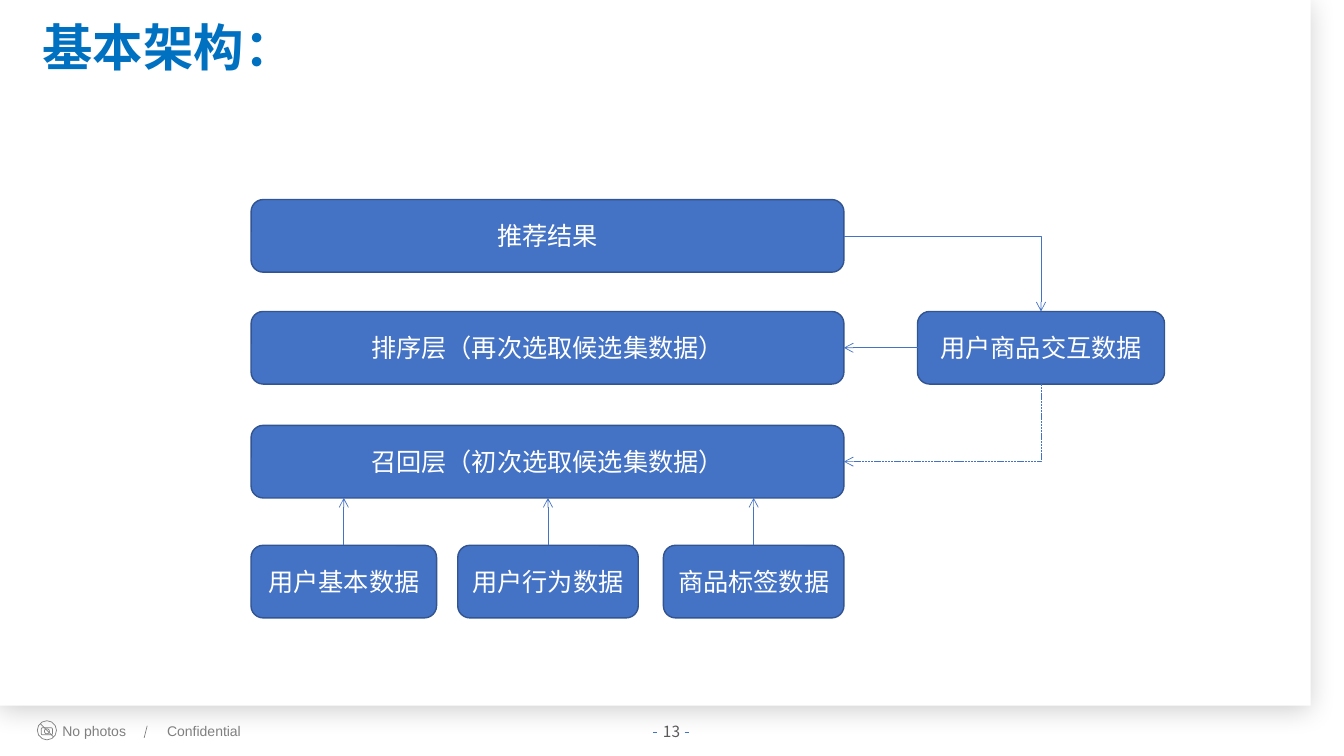
from lxml import etree
from pptx import Presentation
from pptx import util as u
from pptx.dml.color import RGBColor
from pptx.enum import dml, shapes, text
from pptx.oxml import ns, parse_xml

WHITE = RGBColor(0xFF, 0xFF, 0xFF)
BLUE = RGBColor(0x44, 0x72, 0xC4)
DARK_BLUE = RGBColor(0x32, 0x54, 0x91)
TITLE_BLUE = RGBColor(0x00, 0x70, 0xC0)
GRAY = RGBColor(0x7F, 0x7F, 0x7F)
PAGE_GRAY = RGBColor(0x5A, 0x5A, 0x5A)
CJK_FONT = "Noto Sans CJK SC"
TOP, LEFT, BOTTOM, RIGHT = range(4)
SHAPE = shapes.MSO_SHAPE
PANEL_SHADOW = (
    f'<a:effectLst {ns.nsdecls("a")}>'
    '<a:outerShdw blurRad="254000" dist="38100" dir="5400000" algn="t" rotWithShape="0">'
    '<a:srgbClr val="000000"><a:alpha val="20000"/></a:srgbClr>'
    '</a:outerShdw></a:effectLst>'
)


def format_text(text_frame, size, color, font=CJK_FONT, bold=False):
    for paragraph in text_frame.paragraphs:
        for run in paragraph.runs:
            run.font.size = u.Pt(size)
            run.font.name = font
            run.font.bold = bold
            run.font.color.rgb = color
            east_asian = etree.SubElement(run.font._element, ns.qn("a:ea"))
            east_asian.set("typeface", font)


def add_line(slide, start, end, color, kind=shapes.MSO_CONNECTOR.STRAIGHT):
    points = [u.Inches(value) for value in (*start, *end)]
    connector = slide.shapes.add_connector(kind, *points)
    connector.line.color.rgb = color
    connector.line.width = u.Pt(0.5)
    etree.SubElement(connector._element.spPr, ns.qn("a:effectLst"))
    return connector


def add_arrowhead(connector):
    line = connector.line._get_or_add_ln()
    etree.SubElement(line, ns.qn("a:tailEnd")).set("type", "arrow")


def add_label(slide, box, label, size, color, font, wrap=False):
    shape = slide.shapes.add_textbox(*map(u.Inches, box))
    shape.text_frame.text = label
    shape.text_frame.word_wrap = wrap
    format_text(shape.text_frame, size, color, font)
    return shape


def add_title(slide, box, label):
    title = slide.shapes.title
    title.left, title.top, title.width, title.height = map(u.Inches, box)
    frame = title.text_frame
    frame.text = label
    frame.vertical_anchor = text.MSO_ANCHOR.TOP
    frame.margin_top = frame.margin_bottom = 0
    frame.paragraphs[0].alignment = text.PP_ALIGN.LEFT
    frame.paragraphs[0].line_spacing = 0.9
    format_text(frame, 36, TITLE_BLUE, bold=True)


def add_panel(slide, width, height, notch):
    half_notch = [(0.15, 0), (0.1, 0.01), (0.05, 0.04), (0.02, 0.09)]
    right = [(notch + dx, height + dy) for dx, dy in half_notch]
    left = [(notch - dx, height + dy) for dx, dy in reversed(half_notch)]
    points = [(width, 0), (width, height), *right, (notch, height + 0.16), *left, (0, height)]
    builder = slide.shapes.build_freeform(0, 0, scale=u.Inches(1))
    builder.add_line_segments(points, close=True)
    panel = builder.convert_to_shape()
    panel.fill.solid()
    panel.fill.fore_color.rgb = WHITE
    panel.line.fill.background()
    panel._element.spPr.append(parse_xml(PANEL_SHADOW))


def add_camera_sign(slide, left, top, size):
    outlines = [
        (SHAPE.OVAL, 0, 0, size, size),
        (SHAPE.ROUNDED_RECTANGLE, 0.04, 0.07, 0.11, 0.07),
        (SHAPE.OVAL, 0.07, 0.08, 0.05, 0.05),
    ]
    for kind, dx, dy, width, height in outlines:
        box = (left + dx, top + dy, width, height)
        shape = slide.shapes.add_shape(kind, *map(u.Inches, box))
        shape.shadow.inherit = False
        shape.fill.background()
        shape.line.color.rgb = GRAY
        shape.line.width = u.Pt(0.5)
    far = size - 0.03
    add_line(slide, (left + 0.03, top + 0.03), (left + far, top + far), GRAY)


def add_footer(slide, top):
    add_camera_sign(slide, 0.37, top + 0.03, 0.19)
    for left, width, label in ((0.52, 0.88, "No photos"), (1.56, 0.94, "Confidential")):
        add_label(slide, (left, top, width, 0.27), label, 10, GRAY, "Arial")
    add_line(slide, (1.46, top + 0.08), (1.43, top + 0.2), GRAY)
    for left in (6.48, 6.79):
        add_line(slide, (left, top + 0.15), (left + 0.04, top + 0.15), BLUE)
    page = add_label(slide, (6.32, top - 0.01, 0.68, 0.29), "13", 11, PAGE_GRAY, CJK_FONT, True)
    page.text_frame.paragraphs[0].alignment = text.PP_ALIGN.CENTER


def add_block(slide, left, top, width, label):
    box = (left, top, width, 0.72)
    block = slide.shapes.add_shape(SHAPE.ROUNDED_RECTANGLE, *map(u.Inches, box))
    block.shadow.inherit = False
    block.fill.solid()
    block.fill.fore_color.rgb = BLUE
    block.line.color.rgb = DARK_BLUE
    block.line.width = u.Pt(1)
    frame = block.text_frame
    frame.text = label
    frame.word_wrap = True
    frame.vertical_anchor = text.MSO_ANCHOR.MIDDLE
    frame.paragraphs[0].alignment = text.PP_ALIGN.CENTER
    format_text(frame, 18, WHITE)
    return block


def connect_elbow(slide, source, source_side, target, target_side):
    connector = add_line(slide, (0, 0), (1, 1), BLUE, shapes.MSO_CONNECTOR.ELBOW)
    connector.begin_connect(source, source_side)
    connector.end_connect(target, target_side)
    connector._element.spPr.find(ns.qn("a:prstGeom")).set("prst", "bentConnector2")
    return connector


def turn_quarter(connector):
    left, top, width, height = connector.left, connector.top, connector.width, connector.height
    transform = connector._element.spPr.find(ns.qn("a:xfrm"))
    transform.attrib.pop("flipH", None)
    transform.set("rot", "5400000")
    connector.left = left + (width - height) // 2
    connector.top = top + (height - width) // 2
    connector.width, connector.height = height, width


def add_architecture(slide, left, top, width):
    layers = [
        (0, "推荐结果"),
        (1.11, "排序层（再次选取候选集数据）"),
        (2.24, "召回层（初次选取候选集数据）"),
    ]
    result, ranking, recall = [
        add_block(slide, left, top + dy, width, label) for dy, label in layers
    ]
    inputs = [(0, 1.84, "用户基本数据"), (2.05, 1.79, "用户行为数据"), (4.09, 1.79, "商品标签数据")]
    recall_bottom = top + 2.24 + 0.72
    for dx, block_width, label in inputs:
        block = add_block(slide, left + dx, top + 3.43, block_width, label)
        center = left + dx + block_width / 2
        arrow = add_line(slide, (center, top + 3.43), (center, recall_bottom), BLUE)
        arrow.begin_connect(block, TOP)
        add_arrowhead(arrow)

    interaction = add_block(slide, left + 6.61, top + 1.11, 2.45, "用户商品交互数据")
    ranking_arrow = add_line(slide, (0, 0), (1, 1), BLUE)
    ranking_arrow.begin_connect(interaction, LEFT)
    ranking_arrow.end_connect(ranking, RIGHT)
    result_arrow = connect_elbow(slide, result, RIGHT, interaction, TOP)
    recall_arrow = connect_elbow(slide, interaction, BOTTOM, recall, RIGHT)
    turn_quarter(recall_arrow)
    recall_arrow.line.dash_style = dml.MSO_LINE.SQUARE_DOT
    for arrow in (ranking_arrow, result_arrow, recall_arrow):
        add_arrowhead(arrow)


def main():
    presentation = Presentation()
    presentation.slide_width = u.Inches(13.33)
    presentation.slide_height = u.Inches(7.5)
    slide = presentation.slides.add_slide(presentation.slide_layouts[5])
    add_panel(slide, 13.33, 6.9, 12.33)
    title = slide.shapes.title._element
    slide.shapes._spTree.append(title)
    add_title(slide, (0.32, 0.23, 4.73, 0.36), "基本架构：")
    add_footer(slide, 7.12)
    add_architecture(slide, 2.49, 1.98, 5.88)
    presentation.save("out.pptx")


if __name__ == "__main__":
    main()
